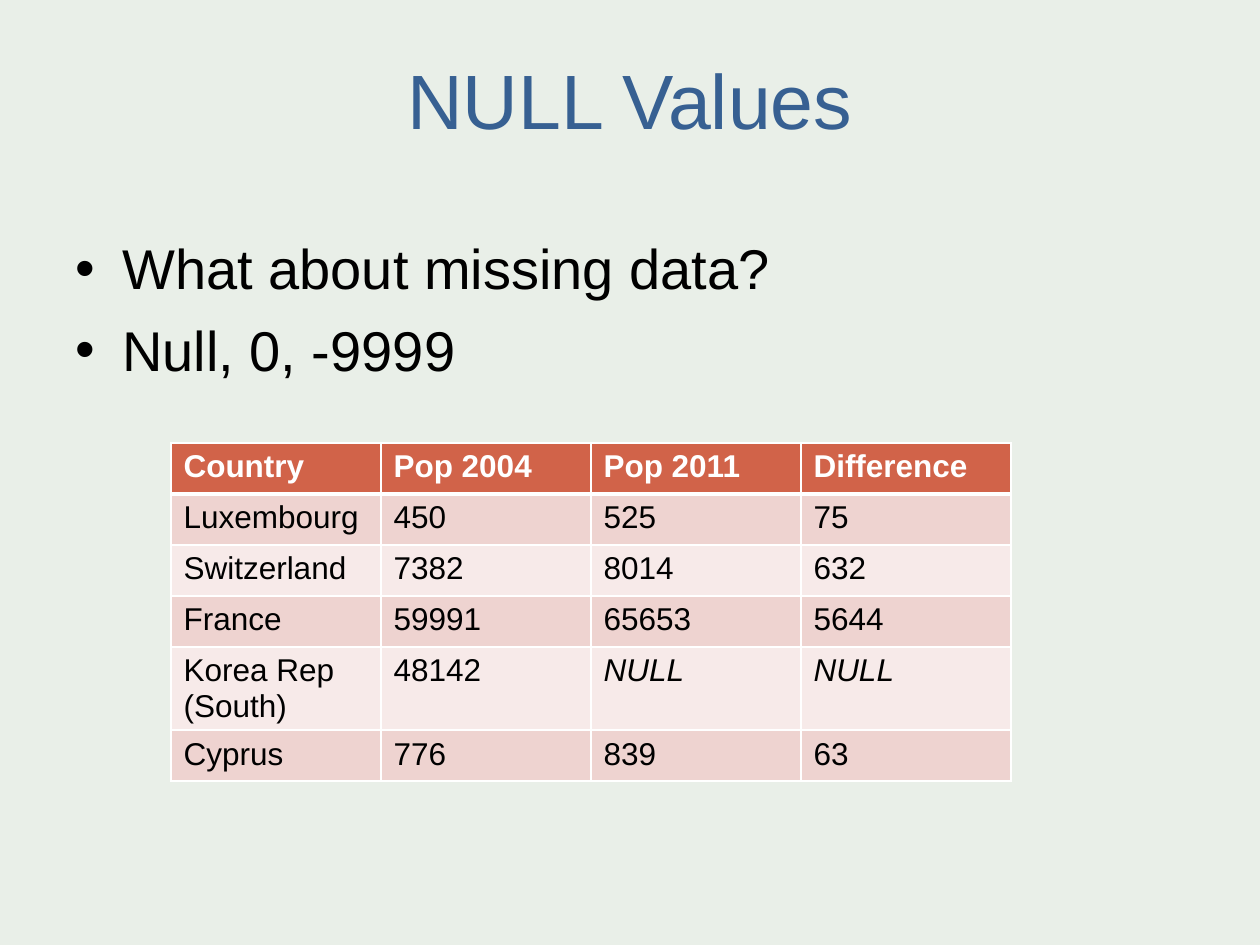
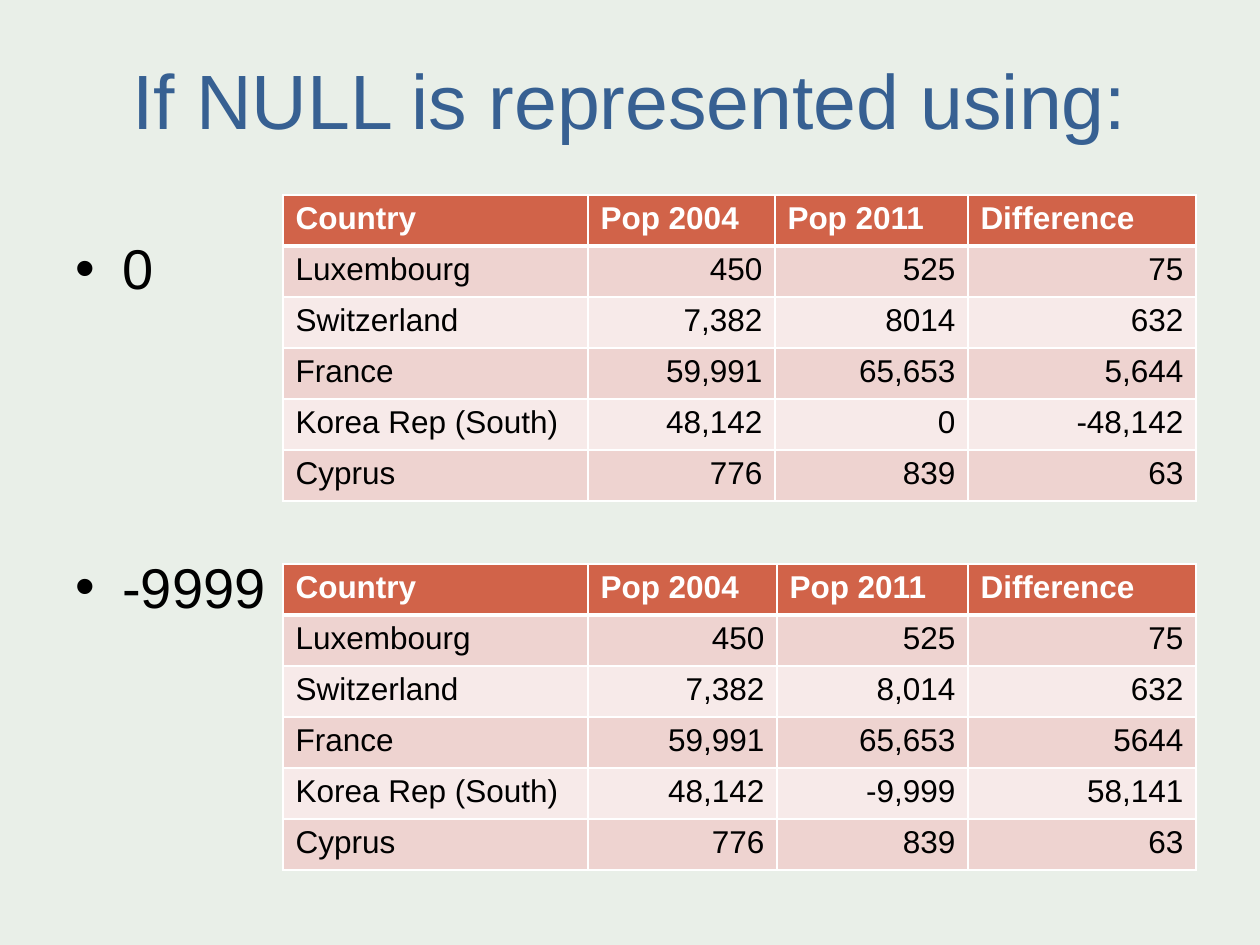
"""Build two slides on how NULL values affect table calculations."""
import pptx
import pptx.dml.color
import pptx.enum.text
import pptx.oxml.ns
import pptx.util
from lxml import etree

FONT = "Arial"
COLOURS = {
    "background": "E9EFE8", "title": "376092", "text": "000000", "rule": "FFFFFF",
    "header": "D16349", "bands": ("EED3D0", "F7EAE9"),
}
PIXELS_PER_INCH = 126
TITLE_BOX = (63, 38, 1134, 158)
BODY_BOX = (63, 221, 1134, 624)
HANGING_INDENT = 47
ROW_HEIGHT = 51
HEADER = ("Country", "Pop 2004", "Pop 2011", "Difference")
ALIGN = pptx.enum.text.PP_ALIGN

SLIDES = [
    {
        "title": "NULL Values",
        "bullets": [("What about missing data?", 0), ("Null, 0, -9999", 14)],
        "tables": [{
            "corner": (171, 443), "columns": (210, 210, 210, 210), "numbers": ALIGN.LEFT,
            "rows": [
                ("Luxembourg", "450", "525", "75"),
                ("Switzerland", "7382", "8014", "632"),
                ("France", "59991", "65653", "5644"),
                ("Korea Rep (South)", "48142", "NULL", "NULL"),
                ("Cyprus", "776", "839", "63"),
            ],
        }],
    },
    {
        "title": "If NULL is represented using:",
        "bullets": [("0", 0), ("-9999", 251)],
        "tables": [
            {
                "corner": (283, 564), "columns": (305, 189, 191, 228), "numbers": ALIGN.RIGHT,
                "rows": [
                    ("Luxembourg", "450", "525", "75"),
                    ("Switzerland", "7,382", "8,014", "632"),
                    ("France", "59,991", "65,653", "5644"),
                    ("Korea Rep (South)", "48,142", "-9,999", "58,141"),
                    ("Cyprus", "776", "839", "63"),
                ],
            },
            {
                "corner": (283, 195), "columns": (305, 187, 193, 228), "numbers": ALIGN.RIGHT,
                "rows": [
                    ("Luxembourg", "450", "525", "75"),
                    ("Switzerland", "7,382", "8014", "632"),
                    ("France", "59,991", "65,653", "5,644"),
                    ("Korea Rep (South)", "48,142", "0", "-48,142"),
                    ("Cyprus", "776", "839", "63"),
                ],
            },
        ],
    },
]


def px(length):
    return pptx.util.Emu(round(length * 914400 / PIXELS_PER_INCH))


def colour(value):
    return pptx.dml.color.RGBColor.from_string(value)


def add_element(parent, tag, **attributes):
    return etree.SubElement(parent, pptx.oxml.ns.qn(tag), attributes)


def add_span(para, text, size, hue, bold=False, italic=False):
    span = para.add_run()
    span.text = text
    span.font.name = FONT
    span.font.size = pptx.util.Pt(size)
    span.font.color.rgb = colour(hue)
    span.font.bold = bold
    span.font.italic = italic


def prepare_frame(frame, top_margin):
    frame.word_wrap = True
    frame.auto_size = pptx.enum.text.MSO_AUTO_SIZE.NONE
    frame.vertical_anchor = pptx.enum.text.MSO_ANCHOR.TOP
    frame.margin_top = px(top_margin)


def set_title(page, text):
    box = page.shapes.title
    box.left, box.top, box.width, box.height = map(px, TITLE_BOX)
    prepare_frame(box.text_frame, 15)
    para = box.text_frame.paragraphs[0]
    para.alignment = ALIGN.CENTER
    add_span(para, text, 44, COLOURS["title"])


def add_bullets(page, bullets):
    frame = page.shapes.add_textbox(*map(px, BODY_BOX)).text_frame
    prepare_frame(frame, 13)
    for index, (text, space) in enumerate(bullets):
        para = frame.add_paragraph() if index else frame.paragraphs[0]
        properties = para._p.get_or_add_pPr()
        properties.set("marL", str(px(HANGING_INDENT)))
        properties.set("indent", str(px(-HANGING_INDENT)))
        add_element(properties, "a:buFont", typeface=FONT)
        add_element(properties, "a:buChar", char="•")
        para.space_before = px(space)
        add_span(para, text, 32, COLOURS["text"])


def set_borders(cell, top, bottom):
    properties = cell._tc.get_or_add_tcPr()
    for side, width in (("L", 1), ("R", 1), ("T", top), ("B", bottom)):
        line = add_element(properties, f"a:ln{side}", w=str(pptx.util.Pt(width)))
        fill = add_element(line, "a:solidFill")
        add_element(fill, "a:srgbClr", val=COLOURS["rule"])


def format_cell(cell, text, row, alignment):
    is_header = row == 0
    set_borders(cell, 3 if row == 1 else 1, 3 if is_header else 1)
    cell.fill.solid()
    fill = COLOURS["header"] if is_header else COLOURS["bands"][(row - 1) % 2]
    cell.fill.fore_color.rgb = colour(fill)
    para = cell.text_frame.paragraphs[0]
    para.alignment = alignment
    hue = COLOURS["rule"] if is_header else COLOURS["text"]
    add_span(para, text, 18, hue, is_header, text == "NULL")


def add_population_table(page, corner, columns, numbers, rows):
    rows = [HEADER, *rows]
    size = (sum(columns), ROW_HEIGHT * len(rows))
    table = page.shapes.add_table(len(rows), len(columns), *map(px, corner + size)).table
    for column, width in zip(table.columns, columns):
        column.width = px(width)
    for row, texts in enumerate(rows):
        table.rows[row].height = px(ROW_HEIGHT)
        for column, text in enumerate(texts):
            alignment = numbers if row and column else ALIGN.LEFT
            format_cell(table.cell(row, column), text, row, alignment)


def main():
    deck = pptx.Presentation()
    deck.slide_width, deck.slide_height = px(1260), px(945)
    background = deck.slide_master.background.fill
    background.solid()
    background.fore_color.rgb = colour(COLOURS["background"])
    for content in SLIDES:
        page = deck.slides.add_slide(deck.slide_layouts.get_by_name("Title Only"))
        set_title(page, content["title"])
        add_bullets(page, content["bullets"])
        for table in content["tables"]:
            add_population_table(page, **table)
    deck.save("out.pptx")


if __name__ == "__main__":
    main()
